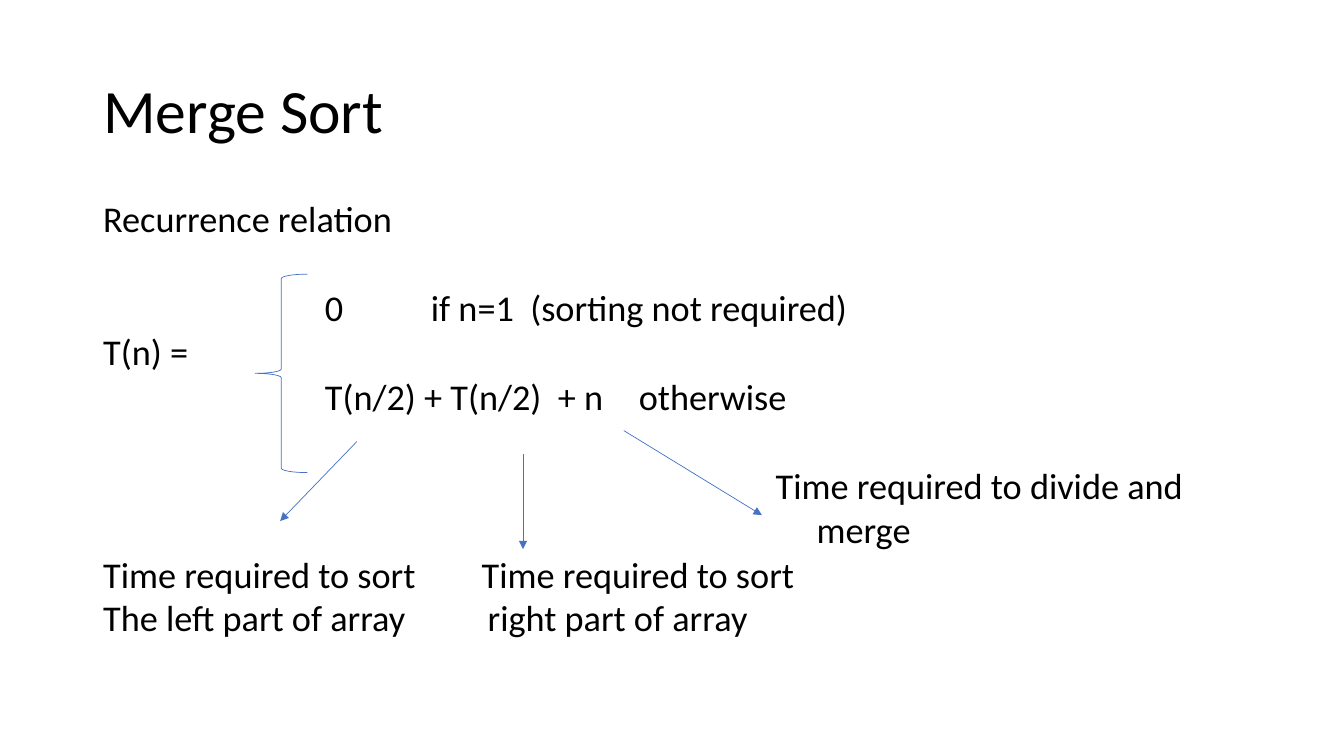
from lxml import etree
from pptx import Presentation
from pptx.dml.color import RGBColor
from pptx.enum.shapes import MSO_CONNECTOR, MSO_SHAPE
from pptx.enum.text import MSO_ANCHOR
from pptx.oxml.ns import qn
from pptx.util import Cm, Pt

STRAIGHT = MSO_CONNECTOR.STRAIGHT
LEFT_BRACE = MSO_SHAPE.LEFT_BRACE
MIDDLE = MSO_ANCHOR.MIDDLE

COLORS = {"text": "000000", "line": "4472C4"}
FONT = "Calibri"
BODY_SIZE = 25.9
ROW = 1.12  # height of one text row, cm


def add_text(slide, left, top, width, height, lines, size=BODY_SIZE, spacing=1.0, indent=0):
    """Place lines of text; every line after the first is indented."""
    box = slide.shapes.add_textbox(Cm(left), Cm(top), Cm(width), Cm(height))
    frame = box.text_frame
    frame.word_wrap = True
    frame.vertical_anchor = MIDDLE
    frame.margin_left = frame.margin_right = frame.margin_top = frame.margin_bottom = 0
    frame.text = "\n".join(lines)
    for index, paragraph in enumerate(frame.paragraphs):
        paragraph.line_spacing = spacing
        if index and indent:
            paragraph._p.get_or_add_pPr().set("marL", str(Cm(indent)))
        font = paragraph.runs[0].font
        font.name = FONT
        font.size = Pt(size)
        font.color.rgb = RGBColor.from_string(COLORS["text"])


def style_line(shape):
    shape.line.color.rgb = RGBColor.from_string(COLORS["line"])
    shape.line.width = Pt(0.5)


def add_arrow(slide, start_x, start_y, end_x, end_y):
    arrow = slide.shapes.add_connector(STRAIGHT, Cm(start_x), Cm(start_y), Cm(end_x), Cm(end_y))
    style_line(arrow)
    etree.SubElement(arrow.line._get_or_add_ln(), qn("a:tailEnd"), type="triangle")
    etree.SubElement(arrow._element.spPr, qn("a:effectLst"))


def add_title(slide, left, top, width, height):
    add_text(slide, left, top, width, height, ["Merge Sort"], size=44, spacing=0.9)


def add_recurrence(slide, left, top):
    """Heading and the two cases of T(n) behind a brace."""
    cells = [  # row, offset from the left, width, text
        (0, 0, 12, "Recurrence relation"),
        (2, 5.59, 2, "0"),
        (2, 8.26, 15, "if n=1  (sorting not required)"),
        (3, 0, 3.5, "T(n) ="),
        (4, 5.59, 7.8, "T(n/2) + T(n/2)  + n"),
        (4, 13.5, 6, "otherwise"),
    ]
    for row, offset, width, text in cells:
        add_text(slide, left + offset, top + row * ROW, width, ROW, [text])

    brace = slide.shapes.add_shape(
        LEFT_BRACE, Cm(left + 3.83), Cm(top + 1.98), Cm(1.32), Cm(5))
    brace.shadow.inherit = False
    brace.fill.background()
    style_line(brace)


def add_explanations(slide, left, top):
    """Two-line labels, each with an arrow from its term."""
    labels = [  # row, offset, width, indent, lines, arrow
        (8, 0, 9, 0, ["Time required to sort", "The left part of array"],
         (8.99, 11.13, 7.06, 13.13)),
        (8, 9.54, 9, 0.15, ["Time required to sort", "right part of array"],
         (13.18, 11.43, 13.18, 13.84)),
        (6, 16.95, 12, 1.03, ["Time required to divide and", "merge"],
         (15.72, 10.85, 19.2, 12.98)),
    ]
    for row, offset, width, indent, lines, arrow in labels:
        add_text(slide, left + offset, top + row * ROW, width, 2 * ROW, lines, indent=indent)
        add_arrow(slide, *arrow)


def main():
    presentation = Presentation()
    presentation.slide_width = Cm(33.87)
    presentation.slide_height = Cm(19.05)
    slide = presentation.slides.add_slide(presentation.slide_layouts[6])
    left, top = 2.6, 4.93
    add_title(slide, left, 1.02, 28.7, 3.68)
    add_recurrence(slide, left, top)
    add_explanations(slide, left, top)
    presentation.save("out.pptx")


if __name__ == "__main__":
    main()
